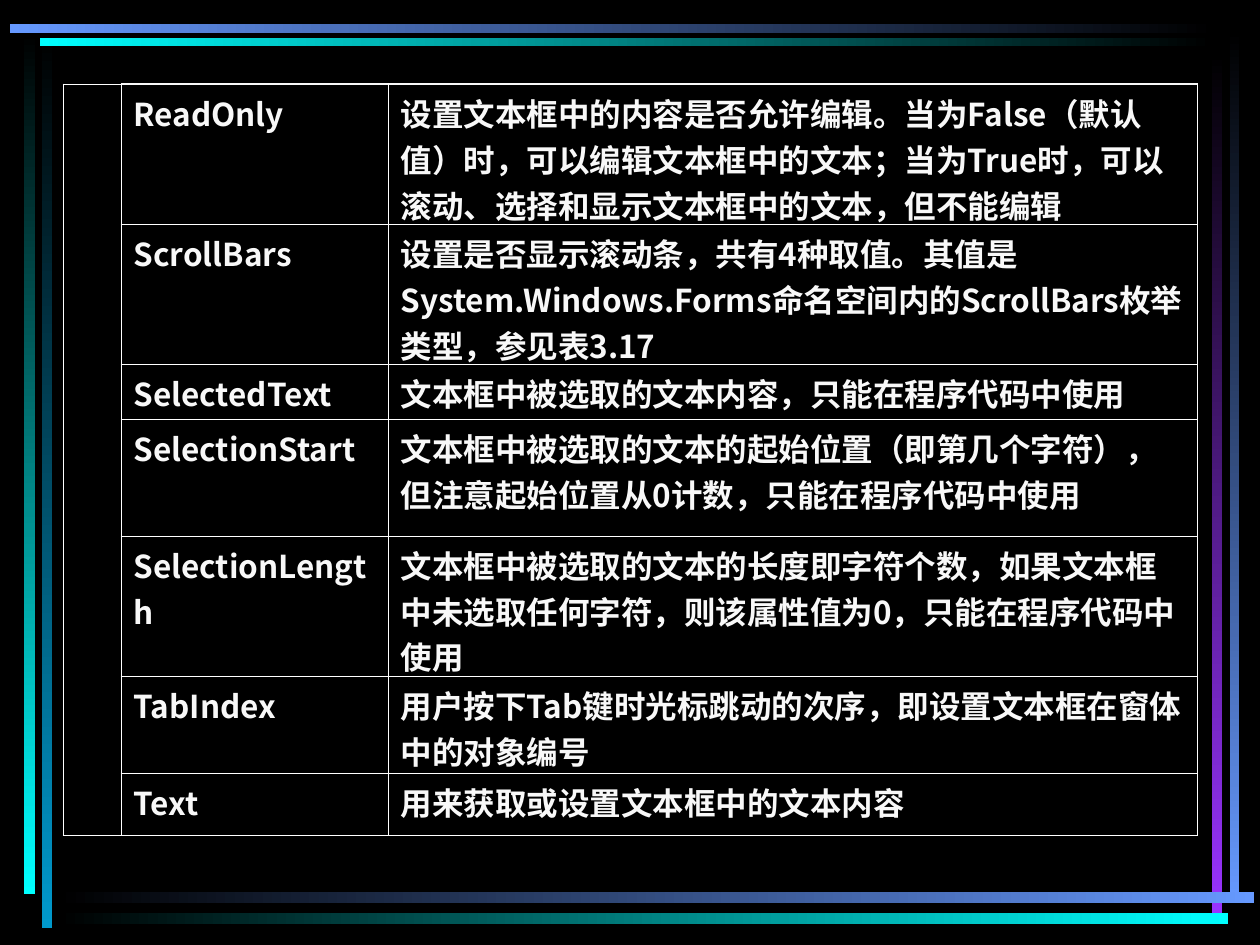
from lxml.etree import SubElement
from pptx import Presentation
from pptx.dml.color import RGBColor
from pptx.enum.shapes import MSO_SHAPE
from pptx.oxml.ns import qn
from pptx.util import Pt

EMU_PER_PX = 914400 // 126
FONT = "Noto Sans CJK SC"
COLORS = {
    "black": "000000", "white": "FFFFFF", "text": "F8F8F8",
    "blue": "6699FF", "cyan": "00FFFF", "teal": "0099CC", "purple": "9933FF",
}


def px(*lengths):
    return [length * EMU_PER_PX for length in lengths]


def add_border(cell, side, color, width):
    line = SubElement(cell._tc.get_or_add_tcPr(), qn(f"a:ln{side}"), w=str(Pt(width)))
    fill = SubElement(line, qn("a:solidFill"))
    SubElement(fill, qn("a:srgbClr"), val=COLORS[color])


presentation = Presentation()
presentation.slide_width, presentation.slide_height = px(1260, 945)
slide = presentation.slides.add_slide(presentation.slide_layouts[6])
background = slide.background.fill
background.solid()
background.fore_color.rgb = RGBColor.from_string(COLORS["black"])

# Frame bars: left, top, width, height, first and last gradient colour
bars = [
    (42, 35, 10, 893, "black", "teal"),
    (24, 32, 11, 862, "black", "cyan"),
    (1230, 30, 9, 873, "black", "blue"),
    (1212, 53, 10, 860, "black", "purple"),
    (57, 892, 1197, 11, "black", "blue"),
    (57, 913, 1171, 11, "black", "cyan"),
    (40, 38, 1174, 8, "cyan", "black"),
    (10, 24, 1205, 9, "blue", "black"),
]
for left, top, width, height, first, last in bars:
    bar = slide.shapes.add_shape(MSO_SHAPE.RECTANGLE, *px(left, top, width, height))
    bar.shadow.inherit = False
    bar.line.fill.background()
    bar.fill.gradient()
    bar.fill.gradient_angle = 270 if height > width else 0
    for stop, color in zip(bar.fill.gradient_stops, (first, last)):
        stop.color.rgb = RGBColor.from_string(COLORS[color])
    bar.fill.gradient_stops[0].position = 0
    bar.fill.gradient_stops[1].position = 1

# Property name, description, row height
properties = [
    ("ReadOnly", "设置文本框中的内容是否允许编辑。当为False（默认值）时，可以编辑文本框中的文本；"
                 "当为True时，可以滚动、选择和显示文本框中的文本，但不能编辑", 140),
    ("ScrollBars", "设置是否显示滚动条，共有4种取值。其值是System.Windows.Forms命名空间内的"
                   "ScrollBars枚举类型，参见表3.17", 140),
    ("SelectedText", "文本框中被选取的文本内容，只能在程序代码中使用", 55),
    ("SelectionStart", "文本框中被选取的文本的起始位置（即第几个字符），"
                       "但注意起始位置从0计数，只能在程序代码中使用", 117),
    ("SelectionLength", "文本框中被选取的文本的长度即字符个数，如果文本框中未选取任何字符，"
                        "则该属性值为0，只能在程序代码中使用", 140),
    ("TabIndex", "用户按下Tab键时光标跳动的次序，即设置文本框在窗体中的对象编号", 97),
    ("Text", "用来获取或设置文本框中的文本内容", 63),
]
column_widths = px(58, 267, 809)
row_heights = px(*[height for _, _, height in properties])
# A negative bottom inset lets three lines fit the tight rows
bottom_inset, = px(-4)
table = slide.shapes.add_table(
    len(properties), len(column_widths), *px(63, 84), sum(column_widths), sum(row_heights)
).table
table.first_row = table.horz_banding = False
for column, width in zip(table.columns, column_widths):
    column.width = width

for row_index, (name, description, _) in enumerate(properties):
    row = table.rows[row_index]
    row.height = row_heights[row_index]
    for cell, text in zip(row.cells, ("", name, description)):
        for side in "LRTB":
            if side == "T" and row_index == 0 and text:
                add_border(cell, side, "text", 1.08)
            else:
                add_border(cell, side, "white", 0.45)
        cell.fill.background()
        cell.margin_bottom = bottom_inset
        cell.text_frame.text = text
        for run in cell.text_frame.paragraphs[0].runs:
            run.font.name = FONT
            run.font.size = Pt(18)
            run.font.bold = True
            run.font.color.rgb = RGBColor.from_string(COLORS["text"])
            SubElement(run.font._element, qn("a:ea"), typeface=FONT)
table.cell(0, 0).merge(table.cell(len(properties) - 1, 0))

presentation.save("out.pptx")
